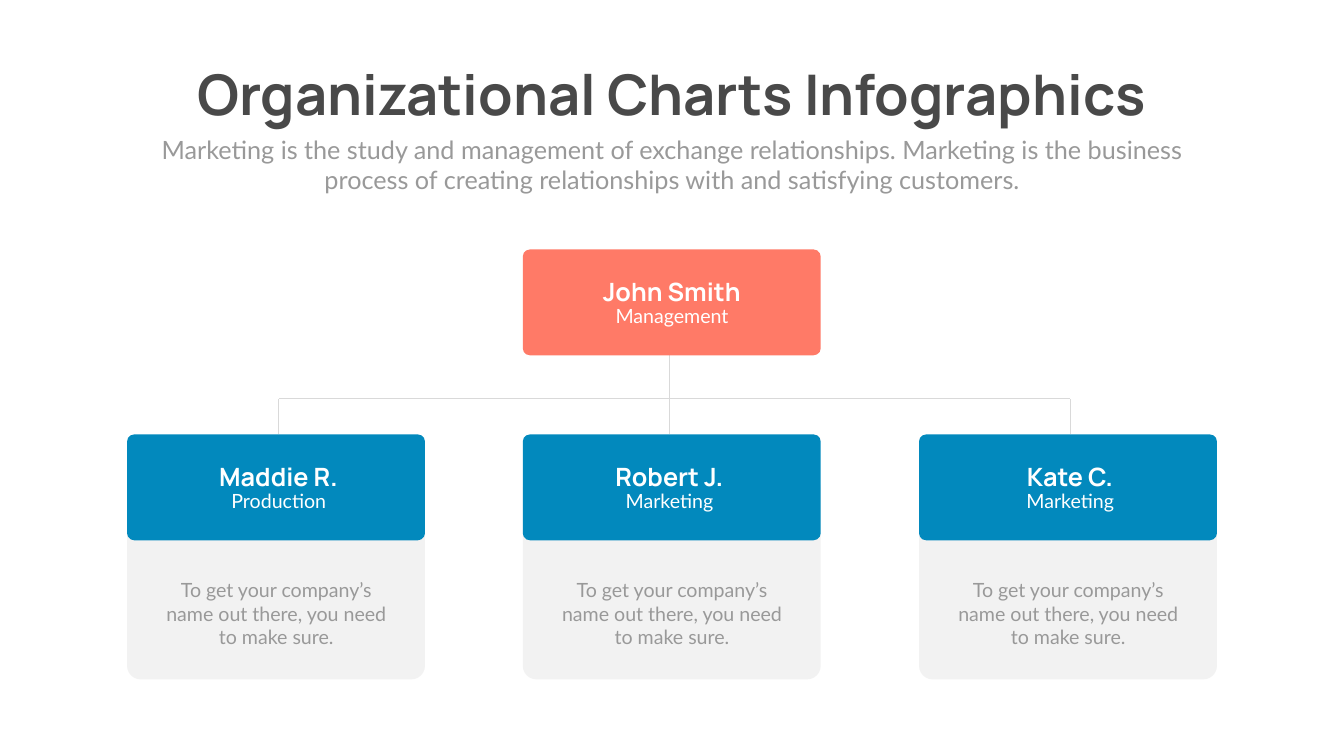
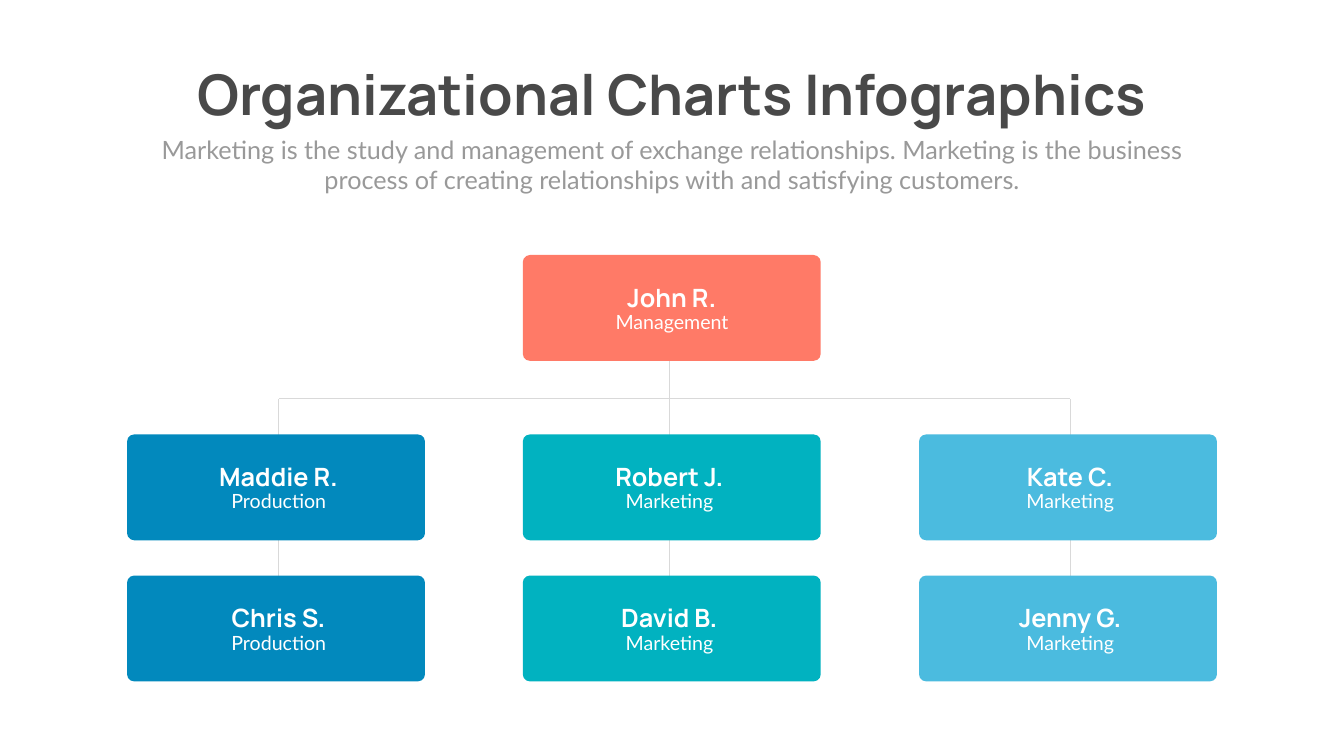
from lxml import etree
from pptx import Presentation
from pptx import util as u
from pptx.dml.color import RGBColor
from pptx.enum import shapes, text
from pptx.oxml.ns import qn

PX = 9144  # 100 px to the inch

DARK = RGBColor(0x49, 0x49, 0x49)
GREY = RGBColor(0x99, 0x99, 0x99)
PALE = RGBColor(0xF2, 0xF2, 0xF2)
RULE = RGBColor(0xD9, 0xD9, 0xD9)
WHITE = RGBColor(0xFF, 0xFF, 0xFF)
CORAL = RGBColor(0xFF, 0x7A, 0x67)
BLUE = RGBColor(0x02, 0x89, 0xBD)
TEAL = RGBColor(0x01, 0xB2, 0xC0)
SKY = RGBColor(0x4B, 0xBB, 0xDF)

HEAD, BODY = "Manrope", "Lato"
TITLE = "Organizational Charts Infographics"
INTRO = ("Marketing is the study and management of exchange relationships. "
         "Marketing is the business process of creating relationships "
         "with and satisfying customers.")
NOTE = "To get your company’s name out there, you need to make sure."

# Column grid: box edges, and the axes of the lines and labels
WIDE, HIGH = 591, 210
LEFTS = (252, 1037, 1823)
AXES = (553, 1328, 2123)
ROOT = 1333  # label axis of the top box
BAR, ROW1, ROW2 = 791, 862, 1142

LEADS = (("Maddie R.", "Production"), ("Robert J.", "Marketing"),
         ("Kate C.", "Marketing"))
STAFF = (("Chris S.", "Production"), ("David B.", "Marketing"),
         ("Jenny G.", "Marketing"))


class Deck:
    def __init__(self):
        self.prs = Presentation()
        self.prs.slide_width = 2666 * PX
        self.prs.slide_height = 1500 * PX
        self.slide = None

    def page(self):
        """Start a slide with the shared heading."""
        self.slide = self.prs.slides.add_slide(self.prs.slide_layouts[6])
        self.label(302, 114, 2062, 145, TITLE, 80, DARK, HEAD, wrap=False)
        self.label(292, 261, 2082, 131, INTRO, 36, GREY)

    def label(self, x, y, w, h, words, size, color, face=BODY, wrap=True, pad=None):
        box = self.slide.shapes.add_textbox(x * PX, y * PX, w * PX, h * PX)
        frame = box.text_frame
        frame.word_wrap = wrap
        frame.auto_size = text.MSO_AUTO_SIZE.SHAPE_TO_FIT_TEXT
        if pad is not None:
            frame.margin_left = frame.margin_right = pad * PX
            frame.margin_top = frame.margin_bottom = pad * PX
        para = frame.paragraphs[0]
        para.text = words
        para.alignment = text.PP_ALIGN.CENTER
        font = para.font
        font.name, font.size, font.bold = face, u.Pt(size), face == HEAD
        font.color.rgb = color

    def panel(self, x, y, h, color):
        box = self.slide.shapes.add_shape(
            shapes.MSO_SHAPE.ROUNDED_RECTANGLE, x * PX, y * PX, WIDE * PX, h * PX)
        box.adjustments[0] = 0.067
        box.shadow.inherit = False
        box.fill.solid()
        box.fill.fore_color.rgb = color
        box.line.fill.background()

    def line(self, x1, y1, x2, y2):
        link = self.slide.shapes.add_connector(
            shapes.MSO_CONNECTOR.STRAIGHT, x1 * PX, y1 * PX, x2 * PX, y2 * PX)
        link.line.color.rgb = RULE
        link.line.width = u.Pt(2)
        etree.SubElement(link._element.spPr, qn("a:effectLst"))

    def tree(self, trunk, side):
        """Draw the trunk and side lines down to the given depths."""
        left, mid, right = AXES
        self.line(mid, trunk, mid, 705)
        for x in (left, right):
            self.line(x, side, x, BAR)
        self.line(left, BAR, right, BAR)

    def person(self, x, y, axis, color, name, role):
        self.panel(x, y, HIGH, color)
        self.label(axis - 190, y + 48, 379, 72, name, 36, WHITE, HEAD, pad=6)
        self.label(axis - 157, y + 104, 314, 57, role, 28, WHITE)

    def team(self, y, people, colors):
        for x, axis, color, who in zip(LEFTS, AXES, colors, people):
            self.person(x, y, axis, color, *who)


def main():
    deck = Deck()

    # Slide 1: three leads with notes
    deck.page()
    for x in LEFTS:
        deck.panel(x, 943, 405, PALE)
        deck.label(x + 68, 1142, 456, 151, NOTE, 28, GREY)
    deck.tree(ROW1, ROW1)
    deck.person(LEFTS[1], 495, ROOT, CORAL, "John Smith", "Management")
    deck.team(ROW1, LEADS, (BLUE,) * 3)

    # Slide 2: two levels, one colour to a column
    deck.page()
    deck.tree(1191, 1239)
    deck.person(LEFTS[1], 506, ROOT, CORAL, "John R.", "Management")
    for y, people in ((ROW1, LEADS), (ROW2, STAFF)):
        deck.team(y, people, (BLUE, TEAL, SKY))

    deck.prs.save("out.pptx")


if __name__ == "__main__":
    main()
